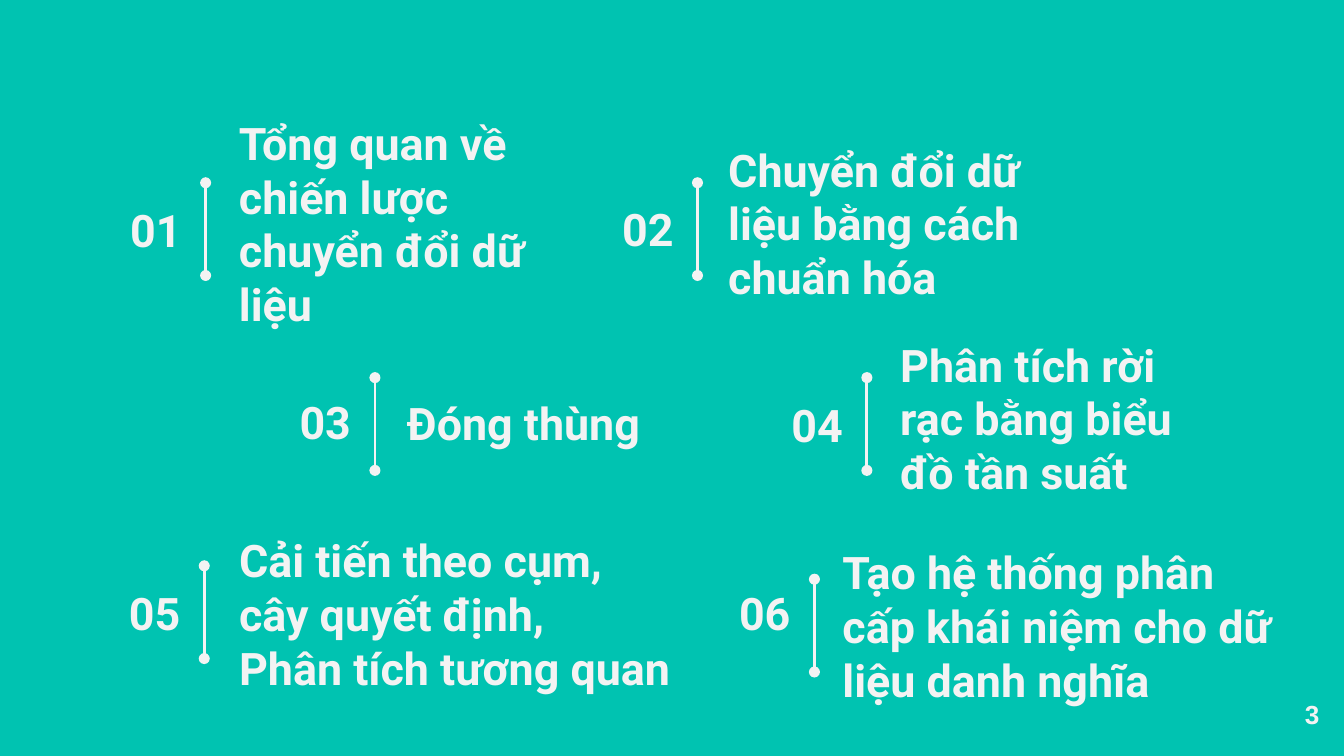
"""Agenda slide with six numbered topics, each split by a dotted-end rule."""
from lxml import etree
from pptx import Presentation
from pptx.dml.color import RGBColor
from pptx.enum import shapes, text
from pptx.oxml import ns
from pptx.util import Inches, Pt

TEAL, WHITE = "00C3B1", "F3F3F3"
RULE_H, NUM_W, NUM_H = 0.69, 0.66, 0.46

# number, number (left, top), rule (x, top), topic box, topic lines
TOPICS = [
    ("01", (0.79, 1.48), (1.53, 1.36), (1.68, 1.18, 2.77, 0.96),
     ["Tổng quan về chiến lược chuyển đổi dữ liệu"]),
    ("02", (4.45, 1.47), (5.19, 1.36), (5.32, 1.18, 2.56, 0.96),
     ["Chuyển đổi dữ liệu bằng cách chuẩn hóa"]),
    ("03", (2.05, 2.91), (2.79, 2.81), (2.93, 2.53, 2.66, 1.23),
     ["Đóng thùng"]),
    ("04", (5.71, 2.93), (6.45, 2.81), (6.6, 2.53, 2.56, 1.16),
     ["Phân tích rời rạc bằng biểu đồ tần suất"]),
    ("05", (0.78, 4.33), (1.52, 4.21), (1.68, 3.95, 3.51, 1.23),
     ["Cải tiến theo cụm,", "cây quyết định,", "Phân tích tương quan"]),
    ("06", (5.32, 4.33), (6.06, 4.31), (6.17, 4.04, 3.51, 1.23),
     ["Tạo hệ thống phân cấp khái niệm cho dữ liệu danh nghĩa"]),
]


def rgb(value):
    return RGBColor.from_string(value)


def add_text(s, box, lines, align=text.PP_ALIGN.LEFT, font="Roboto", size=24, wrap=True):
    tf = s.shapes.add_textbox(*map(Inches, box)).text_frame
    tf.word_wrap = wrap
    tf.vertical_anchor = text.MSO_ANCHOR.MIDDLE
    tf.margin_left = tf.margin_right = tf.margin_top = tf.margin_bottom = Inches(0.1)
    for i, line in enumerate(lines):
        p = tf.add_paragraph() if i else tf.paragraphs[0]
        p.alignment = align
        r = p.add_run()
        r.text = line
        r.font.name, r.font.size, r.font.bold = font, Pt(size), True
        r.font.color.rgb = rgb(WHITE)


def add_rule(s, x, top):
    rule = s.shapes.add_connector(shapes.MSO_CONNECTOR.STRAIGHT,
                                  *map(Inches, (x, top, x, top + RULE_H)))
    rule.line.color.rgb = rgb(WHITE)
    rule.line.width = Pt(1.5)
    ln = rule.line._get_or_add_ln()
    for end in ("a:headEnd", "a:tailEnd"):
        etree.SubElement(ln, ns.qn(end), type="oval", w="med", len="med")
    etree.SubElement(rule._element.spPr, ns.qn("a:effectLst"))


def main():
    prs = Presentation()
    prs.slide_width = Inches(10)
    prs.slide_height = prs.slide_width * 9 // 16
    s = prs.slides.add_slide(prs.slide_layouts[6])
    s.background.fill.solid()
    s.background.fill.fore_color.rgb = rgb(TEAL)
    for number, corner, rule, box, lines in TOPICS:
        add_text(s, (*corner, NUM_W, NUM_H), [number], text.PP_ALIGN.RIGHT)
        add_rule(s, *rule)
        add_text(s, box, lines)
    add_text(s, (9.61, 5.14, 0.25, 0.34), ["3"], font="Arial", size=14, wrap=False)
    prs.save("out.pptx")


if __name__ == "__main__":
    main()
